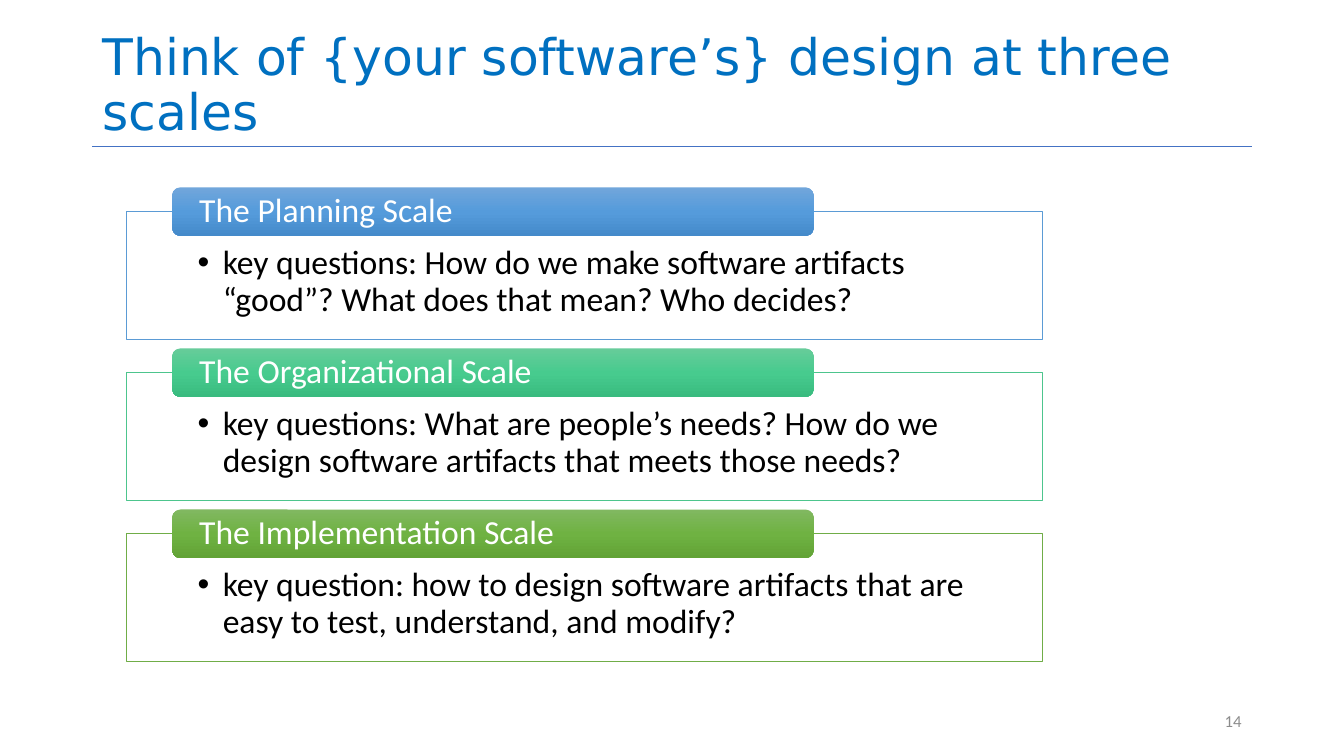
from copy import deepcopy
from dataclasses import dataclass

from lxml.etree import SubElement
from pptx import Presentation
from pptx.dml.color import RGBColor
from pptx.enum.shapes import MSO_CONNECTOR, MSO_SHAPE
from pptx.enum.text import MSO_ANCHOR, MSO_AUTO_SIZE, PP_ALIGN
from pptx.oxml.ns import qn
from pptx.util import Pt


@dataclass(frozen=True)
class Theme:
    title_font: str = "DejaVu Sans"
    body_font: str = "Calibri"
    title_size: int = 36
    body_size: int = 24
    number_size: int = 12
    title: str = "0070C0"
    rule: str = "4472C4"
    number: str = "8C8C8C"
    dark: str = "000000"
    light: str = "FFFFFF"
    line_width: float = 0.5


THEME = Theme()

SCALES = [
    ("The Planning Scale",
     "key questions: How do we make software artifacts “good”? What does that mean? Who decides?",
     "5B9BD5", ("71A6DB", "559BDB", "448ACA")),
    ("The Organizational Scale",
     "key questions: What are people’s needs? How do we design software artifacts that meets those needs?",
     "4DC58D", ("67CC9A", "47CB8E", "39BB7F")),
    ("The Implementation Scale",
     "key question: how to design software artifacts that are easy to test, understand, and modify?",
     "70AD47", ("81B861", "6FB242", "62A336")),
]


def write_text(shape, text, size=THEME.body_size, color=THEME.dark, font=THEME.body_font,
               align=PP_ALIGN.LEFT, anchor=MSO_ANCHOR.TOP, insets=(7.2, 3.6, 7.2, 3.6),
               spacing=0.9, bullet_indent=None):
    frame = shape.text_frame
    frame.word_wrap = True
    frame.auto_size = MSO_AUTO_SIZE.NONE
    frame.vertical_anchor = anchor
    frame.margin_left, frame.margin_top, frame.margin_right, frame.margin_bottom = map(Pt, insets)
    frame.text = text
    paragraph = frame.paragraphs[0]
    paragraph.alignment = align
    paragraph.line_spacing = spacing
    paragraph.space_before = Pt(0)
    if bullet_indent:
        paragraph.level = 1
        properties = paragraph._p.get_or_add_pPr()
        properties.set("marL", str(Pt(bullet_indent)))
        properties.set("indent", str(-Pt(bullet_indent)))
        SubElement(properties, qn("a:buFont")).set("typeface", "Arial")
        SubElement(properties, qn("a:buChar")).set("char", "•")
    run_font = paragraph.runs[0].font
    run_font.name = font
    run_font.size = Pt(size)
    run_font.color.rgb = RGBColor.from_string(color)


def fill_gradient(shape, colors):
    shape.fill.gradient()
    shape.fill.gradient_angle = 270
    stop_list = shape._element.spPr.find(qn("a:gradFill")).find(qn("a:gsLst"))
    stop_list.append(deepcopy(stop_list[0]))
    for index, (stop, color) in enumerate(zip(shape.fill.gradient_stops, colors)):
        stop.position = index / (len(colors) - 1)
        stop.color.rgb = RGBColor.from_string(color)


def add_heading(slide, left, top, width, height):
    title = slide.shapes.title
    title.left, title.top, title.width, title.height = map(Pt, (left, top, width, height))
    write_text(title, "Think of {your software’s} design at three scales",
               size=THEME.title_size, color=THEME.title, font=THEME.title_font,
               anchor=MSO_ANCHOR.BOTTOM)
    bottom = Pt(top + height)
    rule = slide.shapes.add_connector(MSO_CONNECTOR.STRAIGHT, Pt(left), bottom,
                                      Pt(left + width), bottom)
    rule.line.color.rgb = RGBColor.from_string(THEME.rule)
    rule.line.width = Pt(THEME.line_width)
    SubElement(rule._element.spPr, qn("a:effectLst"))


def add_scale(slide, left, top, width, height, name, question, outline, gradient):
    header_height = 34.6
    panel_top = top + header_height / 2
    panel = slide.shapes.add_shape(MSO_SHAPE.RECTANGLE, Pt(left), Pt(panel_top),
                                   Pt(width), Pt(top + height - panel_top))
    panel.shadow.inherit = False
    panel.fill.solid()
    panel.fill.fore_color.rgb = RGBColor.from_string(THEME.light)
    panel.line.color.rgb = RGBColor.from_string(outline)
    panel.line.width = Pt(THEME.line_width)
    write_text(panel, question, insets=(50.8, 24.4, 50.8, 13.6), bullet_indent=18)

    header = slide.shapes.add_shape(MSO_SHAPE.ROUNDED_RECTANGLE, Pt(left + width * 0.05), Pt(top),
                                    Pt(width * 0.7), Pt(header_height))
    header.shadow.inherit = False
    fill_gradient(header, gradient)
    header.line.fill.background()
    write_text(header, name, color=THEME.light, anchor=MSO_ANCHOR.MIDDLE,
               insets=(17.6, 0, 17.6, 0))


def add_scales(slide, left, top, width, height):
    gap = 6.4
    scale_height = (height - gap * (len(SCALES) - 1)) / len(SCALES)
    for index, scale in enumerate(SCALES):
        add_scale(slide, left, top + index * (scale_height + gap), width, scale_height, *scale)


def add_slide_number(slide, left, top, width, height):
    box = slide.shapes.add_textbox(Pt(left), Pt(top), Pt(width), Pt(height))
    write_text(box, "14", size=THEME.number_size, color=THEME.number,
               align=PP_ALIGN.RIGHT, anchor=MSO_ANCHOR.MIDDLE, spacing=1.0)


def main():
    presentation = Presentation()
    presentation.slide_width, presentation.slide_height = Pt(960), Pt(540)
    slide = presentation.slides.add_slide(presentation.slide_layouts[5])
    add_heading(slide, 66, 0, 828, 104.5)
    add_scales(slide, 90.3, 133.8, 654.5, 338.8)
    add_slide_number(slide, 678, 500.5, 216, 28.8)
    presentation.save("out.pptx")


if __name__ == "__main__":
    main()
